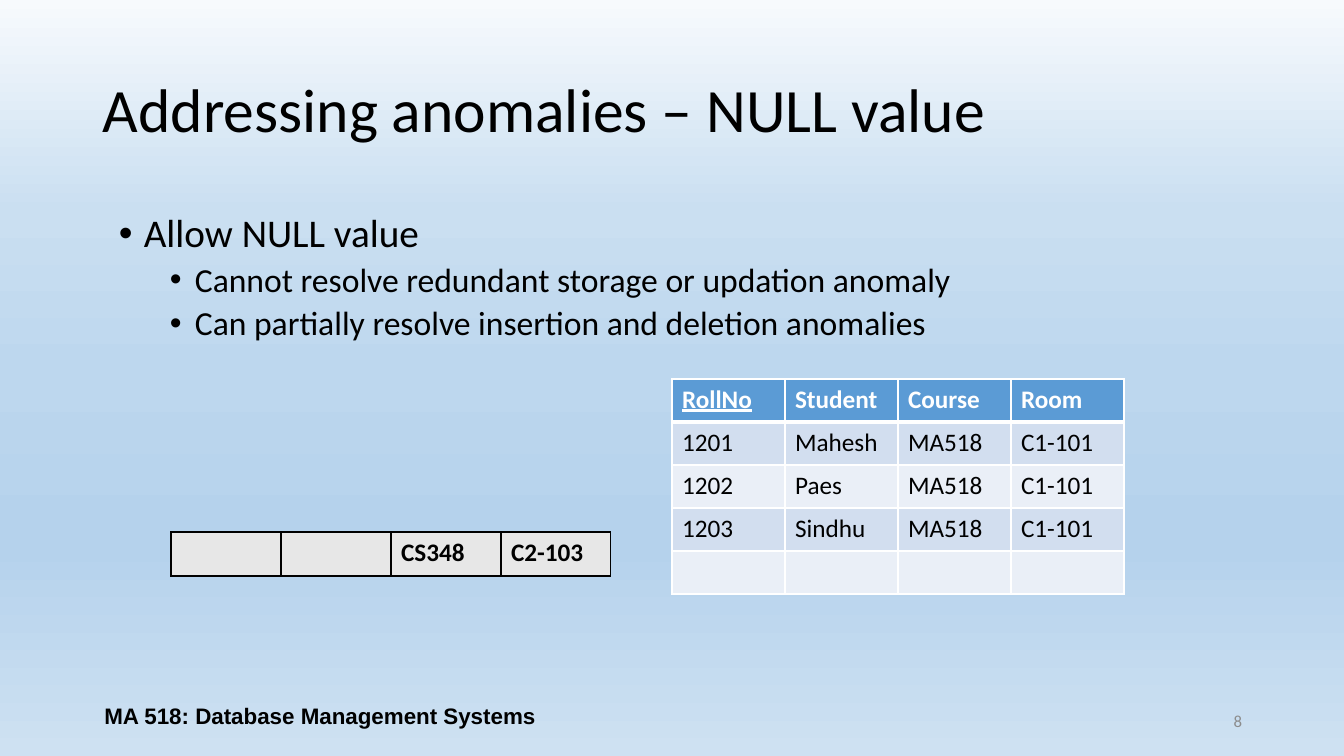
from dataclasses import dataclass

from lxml.etree import SubElement
from pptx import Presentation
from pptx.dml.color import RGBColor
from pptx.enum.text import MSO_ANCHOR as Anchor, PP_ALIGN as Align
from pptx.oxml.ns import qn
from pptx.util import Pt

PX = 12192000 // 1344
BLACK, WHITE = "000000", "FFFFFF"
SKY = [(0, "F7FAFD"), (28, "CADFF1"), (49, "BDD7EE"),
       (71, "B5D2EC"), (72, "B5D2EC"), (100, "CEE1F2")]


@dataclass
class Line:
    text: str
    size: int
    font: str = "Calibri"
    color: str = BLACK
    bold: bool = False
    underline: bool = False
    align: Align = Align.LEFT
    spacing: float = 1.0
    before: int = 0
    indent: int = 0


@dataclass
class TextBlock:
    left: int
    top: int
    width: int
    height: int
    lines: list[Line]
    anchor: Anchor = Anchor.MIDDLE


@dataclass
class Row:
    texts: list[str]
    fill: str
    color: str = BLACK
    bold: bool = False
    key: str = ""
    top_line: int = 1
    bottom_line: int = 1


@dataclass
class Grid:
    left: int
    top: int
    column: int
    row: int
    border: str
    rows: list[Row]


BLOCKS = [
    TextBlock(93, 40, 1159, 146,
              [Line("Addressing anomalies – NULL value", 44, spacing=0.9)]),
    TextBlock(950, 701, 302, 40,
              [Line("8", 12, color="8C8C8C", align=Align.RIGHT)]),
    TextBlock(93, 696, 454, 40,
              [Line("MA 518: Database Management Systems", 16, "Arial",
                    bold=True, align=Align.CENTER)]),
    TextBlock(109, 209, 1159, 200, [
        Line("Allow NULL value", 28, spacing=0.9, indent=25),
        Line("Cannot resolve redundant storage or updation anomaly", 24,
             spacing=0.9, before=5, indent=76),
        Line("Can partially resolve insertion and deletion anomalies", 24,
             spacing=0.9, before=5, indent=76),
    ], Anchor.TOP),
]

GRIDS = [
    Grid(672, 379, 113, 43, WHITE, [
        Row(["RollNo", "Student", "Course", "Room"], "5B9BD5", WHITE, True,
            key="RollNo", bottom_line=3),
        Row(["1201", "Mahesh", "MA518", "C1-101"], "D2DEEF", top_line=3),
        Row(["1202", "Paes", "MA518", "C1-101"], "EAEFF7"),
        Row(["1203", "Sindhu", "MA518", "C1-101"], "D2DEEF"),
        Row([""] * 4, "EAEFF7"),
    ]),
    Grid(171, 532, 110, 44, BLACK,
         [Row(["", "", "CS348", "C2-103"], "E7E7E7", bold=True)]),
]


def rgb(value: str) -> RGBColor:
    """Turn a hex string into a colour."""
    return RGBColor.from_string(value)


def paint_background(page) -> None:
    """Fill the page with the vertical sky gradient."""
    fill = page.background.fill
    fill.gradient()
    fill.gradient_angle = 270
    stops = next(page.element.iter(qn("a:gsLst")))
    for stop in list(stops):
        stops.remove(stop)
    for percent, color in SKY:
        stop = SubElement(stops, qn("a:gs"), pos=str(percent * 1000))
        SubElement(stop, qn("a:srgbClr"), val=color)


def write_line(para, line: Line) -> None:
    """Write one styled line into a paragraph."""
    para.alignment = line.align
    para.line_spacing = line.spacing
    para.space_before = Pt(line.before)
    if line.indent:
        props = para._p.get_or_add_pPr()
        props.set("marL", str(line.indent * PX))
        props.set("indent", str(-25 * PX))
        SubElement(props, qn("a:buFont"), typeface="Arial")
        SubElement(props, qn("a:buChar"), char="•")
    span = para.add_run()
    span.text = line.text
    font = span.font
    font.name, font.size = line.font, Pt(line.size)
    font.bold, font.underline = line.bold, line.underline
    font.color.rgb = rgb(line.color)


def draw_block(page, block: TextBlock) -> None:
    """Draw a wrapped text box."""
    box = page.shapes.add_textbox(block.left * PX, block.top * PX,
                                  block.width * PX, block.height * PX)
    frame = box.text_frame
    frame.word_wrap = True
    frame.vertical_anchor = block.anchor
    for index, line in enumerate(block.lines):
        para = frame.add_paragraph() if index else frame.paragraphs[0]
        write_line(para, line)


def draw_borders(cell, color: str, row: Row) -> None:
    """Give a cell its four border lines."""
    props = cell._tc.get_or_add_tcPr()
    widths = {"L": 1, "R": 1, "T": row.top_line, "B": row.bottom_line}
    for index, (side, width) in enumerate(widths.items()):
        border = SubElement(props, qn(f"a:ln{side}"), w=str(Pt(width)))
        solid = SubElement(border, qn("a:solidFill"))
        SubElement(solid, qn("a:srgbClr"), val=color)
        props.insert(index, border)


def draw_grid(page, grid: Grid) -> None:
    """Draw a table with equal columns and rows."""
    count, width = len(grid.rows), len(grid.rows[0].texts)
    table = page.shapes.add_table(
        count, width, grid.left * PX, grid.top * PX,
        width * grid.column * PX, count * grid.row * PX).table
    table.first_row = table.horz_banding = False
    for row_index, row in enumerate(grid.rows):
        for column_index, text in enumerate(row.texts):
            cell = table.cell(row_index, column_index)
            cell.fill.solid()
            cell.fill.fore_color.rgb = rgb(row.fill)
            draw_borders(cell, grid.border, row)
            if text:
                write_line(cell.text_frame.paragraphs[0],
                           Line(text, 18, color=row.color, bold=row.bold,
                                underline=text == row.key))


def main() -> None:
    """Build the deck and save it."""
    deck = Presentation()
    deck.slide_width, deck.slide_height = 1344 * PX, 756 * PX
    page = deck.slides.add_slide(deck.slide_layouts[6])
    paint_background(page)
    for block in BLOCKS:
        draw_block(page, block)
    for grid in GRIDS:
        draw_grid(page, grid)
    deck.save("out.pptx")


if __name__ == "__main__":
    main()
